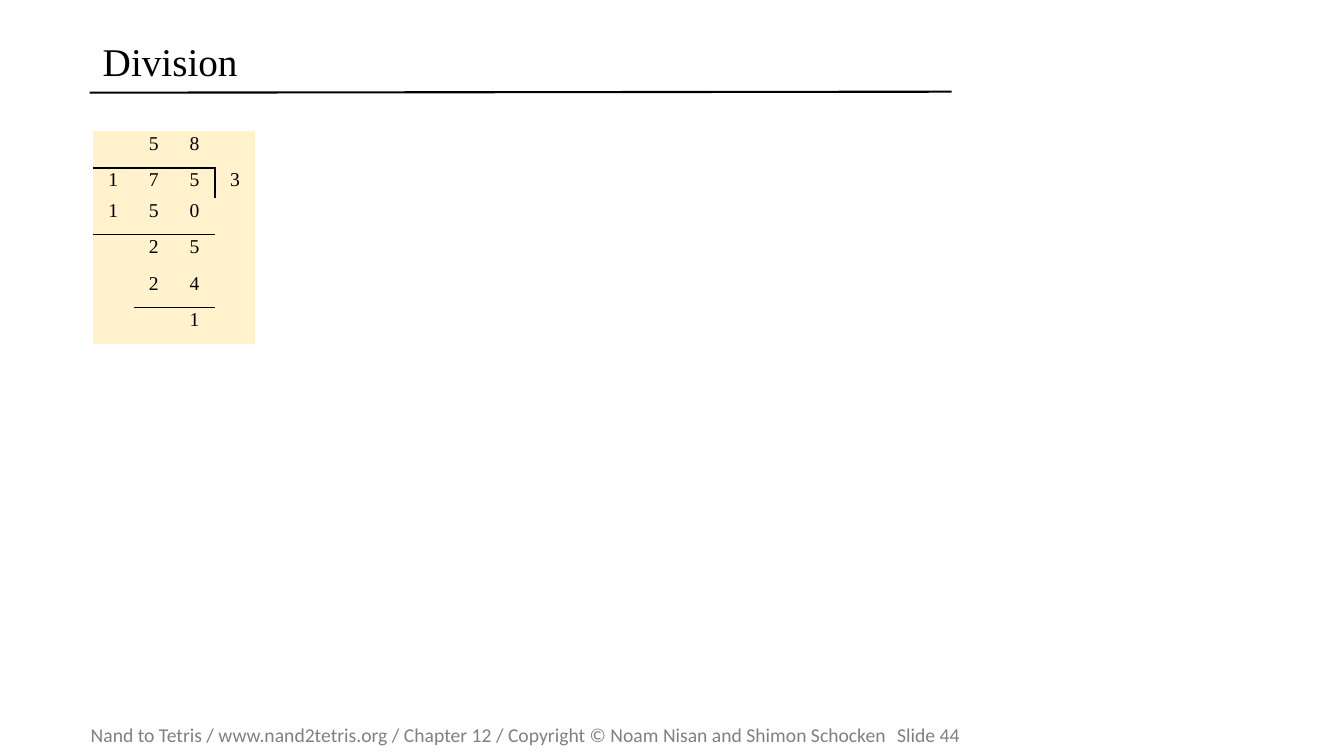
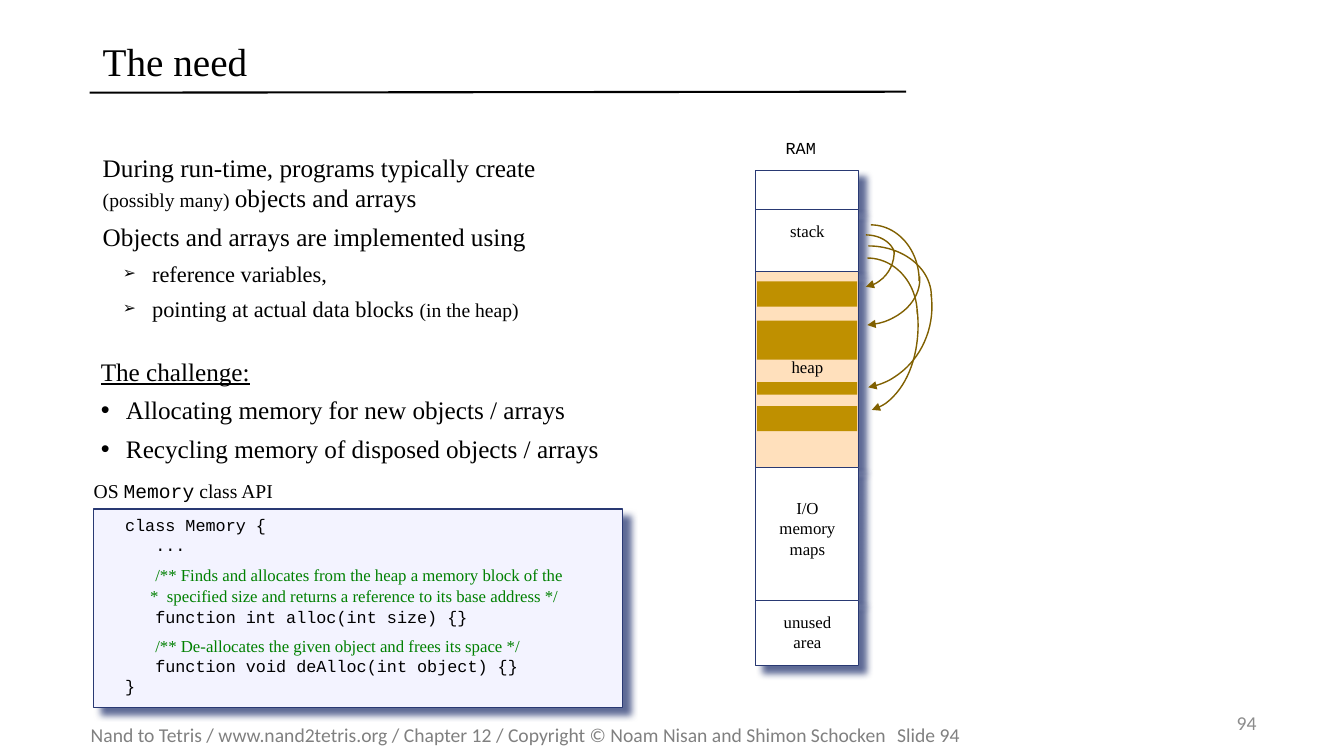
from dataclasses import dataclass

from lxml import etree
from pptx import Presentation
from pptx.dml.color import RGBColor
from pptx.enum import shapes, text
from pptx.oxml import ns
from pptx.util import Pt


@dataclass(frozen=True)
class Theme:
    serif: str = "Times New Roman"
    mono: str = "Courier New"
    sans: str = "Calibri"
    black: str = "000000"
    white: str = "FFFFFF"
    gray: str = "808080"
    pale: str = "8C8C8C"
    cream: str = "FFF2CC"
    navy: str = "293973"
    peach: str = "FFE0BC"
    gold: str = "BF9000"
    brown: str = "806000"
    green: str = "008000"
    lilac: str = "F3F3FF"
    title: int = 28
    large: int = 18
    mid: int = 16
    small: int = 14
    tiny: int = 12


T = Theme()
LEFT, MID, TOP = text.PP_ALIGN.LEFT, text.MSO_ANCHOR.MIDDLE, text.MSO_ANCHOR.TOP
CENTER = text.PP_ALIGN.CENTER

FOOT = ("Nand to Tetris / www.nand2tetris.org / Chapter 12 / "
        "Copyright © Noam Nisan and Shimon Schocken\tSlide ")

DIGITS = [" 58 ", "1753", "150 ", " 25 ", " 24 ", "  1 "]
RULES = {(1, 0): 1.5, (1, 1): 1.5, (1, 2): 1.5, (3, 0): 1, (3, 1): 1,
         (3, 2): 1, (5, 1): 1, (5, 2): 1}
BAR = {(1, 2): 1.5}
ROWS = [21.6] * 3 + [22.9] * 3

NOTE = {"size": T.small}
ARROW = {"before": 6, "bullet": "➢", "left": 35.3, "hang": 20.9, "scale": 70,
         "size": T.mid}
DOT = {"before": 6, "bullet": "•", "left": 18, "hang": 18}
NEED = [
    (["During run-time, programs typically create\n",
      ("(possibly many) ", NOTE), "objects and arrays"], {}),
    (["Objects and arrays are implemented using"], {"before": 6}),
    (["reference variables,"], ARROW),
    (["pointing at actual data blocks ", ("(in the heap)", NOTE)], ARROW),
]
GOALS = [
    ([("The challenge:", {"under": True})], {}),
    (["Allocating memory for new objects / arrays"], DOT),
    (["Recycling memory of disposed objects / arrays"], DOT),
]
LABEL = [(["OS ", ("Memory", {"font": T.mono}), " class API"], {"lead": 0.9})]
DOC = {"font": T.serif, "color": T.green}
CODE = [
    "class Memory {",
    "   ...",
    (["   ", ("/** Finds and allocates from the heap a memory block of the", DOC)],
     {"before": 7}),
    [("      *  specified size and returns a reference to its base address */", DOC)],
    (["   function int alloc(int size) {}"], {"before": 1}),
    (["   ", ("/** De-allocates the given object and frees its space */", DOC)],
     {"before": 6}),
    "   function void deAlloc(int object) {}",
    "}",
]
RAM = [
    ([], 28, T.white, 8),
    (["stack"], 44, T.white, 8),
    (["heap"], 140, T.peach, 61.4),
    (["I/O", "memory", "maps"], 95, T.white, 22),
    (["unused", "area"], 47, T.white, 8),
]
BLOCKS = [(201, 18), (229, 28), (273, 9), (290, 18)]
ARCS = [
    ((587.5, 160.6, 69.1, 79.9), (162, 0), False),
    ((585.4, 160.6, 63.4, 79.9), (162, 0), True),
    ((583.9, 184.3, 71.3, 79.9), (162, 0), False),
    ((545.8, 184.3, 131.8, 87.8), (159.6, 212.84), True),
    ((575.3, 175.7, 90, 72), (162, 0), False),
    ((550.8, 162.7, 118.8, 110.9), (159.6, 212.84), True),
    ((597.6, 167.8, 41.8, 31.7), (162, 210.44), False),
    ((589, 155.5, 50.4, 49), (162.98, 212.84), True),
]


def rgb(code):
    return RGBColor.from_string(code)


def node(up, tag, **kw):
    return etree.SubElement(up, ns.qn(tag), {k: str(v) for k, v in kw.items()})


def mark(para, bullet=None, left=0, hang=0, scale=100):
    props = para._p.get_or_add_pPr()
    props.set("marL", str(int(Pt(left))))
    props.set("indent", str(-int(Pt(hang))))
    if bullet:
        node(props, "a:buSzPct", val=scale * 1000)
        node(props, "a:buChar", char=bullet)
    else:
        node(props, "a:buNone")


def write(frame, paras, font=T.serif, size=T.tiny, color=T.black, align=LEFT,
          inset=(7.2, 3.6, 7.2, 3.6), anchor=TOP, lead=1.0, tab=None):
    frame.word_wrap = True
    frame.auto_size = text.MSO_AUTO_SIZE.NONE
    frame.vertical_anchor = anchor
    (frame.margin_left, frame.margin_top,
     frame.margin_right, frame.margin_bottom) = map(Pt, inset)
    for i, item in enumerate(paras):
        runs, form = item if isinstance(item, tuple) else (item, {})
        runs = [runs] if isinstance(runs, str) else runs
        para = frame.paragraphs[0] if i == 0 else frame.add_paragraph()
        mark(para, **{k: form[k] for k in ("bullet", "left", "hang", "scale")
                      if k in form})
        if tab:
            stops = node(para._p.pPr, "a:tabLst")
            node(stops, "a:tab", pos=int(Pt(tab)), algn="r")
        para.alignment = align
        para.line_spacing = form.get("lead", lead)
        para.space_before = Pt(form.get("before", 0))
        for part in runs:
            words, look = part if isinstance(part, tuple) else (part, {})
            run = para.add_run()
            run.text = words.rstrip("\n")
            face = run.font
            face.name = look.get("font", font)
            face.size = Pt(look.get("size", form.get("size", size)))
            face.color.rgb = rgb(look.get("color", color))
            if look.get("under"):
                face.underline = True
            if words.endswith("\n"):
                para.add_line_break()


def place(shape, box):
    shape.left, shape.top, shape.width, shape.height = map(Pt, box)
    return shape.text_frame


def label(slide, box, paras, **kw):
    write(slide.shapes.add_textbox(*map(Pt, box)).text_frame, paras, **kw)


def rect(slide, box, fill, framed=False):
    shape = slide.shapes.add_shape(shapes.MSO_SHAPE.RECTANGLE, *map(Pt, box))
    shape.shadow.inherit = False
    shape.fill.solid()
    shape.fill.fore_color.rgb = rgb(fill)
    if not framed:
        shape.line.fill.background()
        return shape
    shape.line.color.rgb = rgb(T.navy)
    shape.line.width = Pt(0.75)
    glow = shape._element.spPr.find(ns.qn("a:effectLst"))
    cast = node(glow, "a:outerShdw", blurRad=int(Pt(5)), dist=int(Pt(7.1)),
                dir=45 * 60000, algn="tl", rotWithShape=0)
    node(node(cast, "a:srgbClr", val=T.navy), "a:alpha", val=75000)
    return shape


def arc(slide, box, ends, tip):
    shape = slide.shapes.add_shape(shapes.MSO_SHAPE.ARC, *map(Pt, box))
    shape.shadow.inherit = False
    shape.fill.background()
    shape.line.color.rgb = rgb(T.brown)
    shape.line.width = Pt(1)
    shape.adjustments[0], shape.adjustments[1] = ends
    if tip:
        shape.rotation = 85.6
        node(shape.line._get_or_add_ln(), "a:tailEnd", type="triangle")


def frame(deck, layout, title, num, end):
    slide = deck.slides.add_slide(deck.slide_layouts[layout])
    write(place(slide.shapes.title, (66.2, 23, 614, 45.4)), [title],
          size=T.title, anchor=MID, lead=0.9)
    rule = slide.shapes.add_connector(shapes.MSO_CONNECTOR.STRAIGHT,
                                      Pt(64.1), Pt(66.2), Pt(end), Pt(65.5))
    rule.line.color.rgb = rgb(T.black)
    rule.line.width = Pt(1.5)
    node(rule._element.spPr, "a:effectLst")
    label(slide, (64.8, 512.6, 882, 24.5), [FOOT + str(num)], font=T.sans,
          size=T.small, color=T.gray, inset=(0, 3.6, 0, 3.6), anchor=MID,
          tab=811.5)
    return slide


def edge(cell, side, width):
    props = cell._tc.get_or_add_tcPr()
    if width:
        line = node(props, "a:" + side, w=int(Pt(width)))
        node(node(line, "a:solidFill"), "a:srgbClr", val=T.black)
    else:
        node(node(props, "a:" + side, w=0), "a:noFill")


def division(deck):
    slide = frame(deck, 5, "Division", 44, 679.7)
    grid = slide.shapes.add_table(len(DIGITS), len(DIGITS[0]), Pt(66.4), Pt(93.6),
                                  Pt(116), Pt(sum(ROWS))).table
    grid.first_row = grid.horz_banding = False
    for col in grid.columns:
        col.width = Pt(29)
    for r, line in enumerate(DIGITS):
        grid.rows[r].height = Pt(ROWS[r])
        for c, digit in enumerate(line):
            cell = grid.cell(r, c)
            edge(cell, "lnL", BAR.get((r, c - 1)))
            edge(cell, "lnR", BAR.get((r, c)))
            edge(cell, "lnT", RULES.get((r, c)))
            edge(cell, "lnB", RULES.get((r + 1, c)))
            cell.fill.solid()
            cell.fill.fore_color.rgb = rgb(T.cream)
            cell.margin_left = cell.margin_right = 0
            cell.margin_top = cell.margin_bottom = Pt(3)
            para = cell.text_frame.paragraphs[0]
            para.alignment = CENTER
            para.line_spacing = Pt(13.8)
            run = para.add_run()
            run.text = digit.strip()
            run.font.name = T.serif
            run.font.size = Pt(T.small)
            run.font.color.rgb = rgb(T.black)


def need(deck):
    slide = frame(deck, 3, "The need", 94, 647.3)
    body, goals = slide.placeholders[1], slide.placeholders[2]
    write(place(body, (66.2, 105.1, 380, 140)), NEED, size=T.large)
    write(place(goals, (64.8, 250.6, 380, 91.4)), GOALS, size=T.large)
    label(slide, (883.4, 504, 38.2, 24.5), ["94"], font=T.sans, size=T.small,
          color=T.pale, inset=(0, 3.6, 0, 3.6), anchor=MID)
    label(slide, (508.3, 90.7, 113, 33), ["RAM"], font=T.mono, align=CENTER,
          inset=(14.4, 8, 0, 8))
    top = 121.7
    for words, high, fill, pad in RAM:
        box = rect(slide, (540, top, 73.6, high), fill, framed=True)
        if words:
            write(box.text_frame, words, align=CENTER, inset=(0, pad, 0, 0))
        top += high
    for y, high in BLOCKS:
        rect(slide, (540.8, y, 71.5, high), T.gold)
    for spot in ARCS:
        arc(slide, *spot)
    label(slide, (59.8, 340.6, 150, 31), LABEL, size=T.small,
          inset=(7.2, 3.6, 0, 3.6))
    box = rect(slide, (67, 363.6, 378, 141.8), T.lilac, framed=True)
    write(box.text_frame, CODE, font=T.mono, inset=(22.3, 4.3, 7.2, 8))


def main():
    deck = Presentation()
    deck.slide_width, deck.slide_height = Pt(960), Pt(540)
    division(deck)
    need(deck)
    deck.save("out.pptx")


if __name__ == "__main__":
    main()
